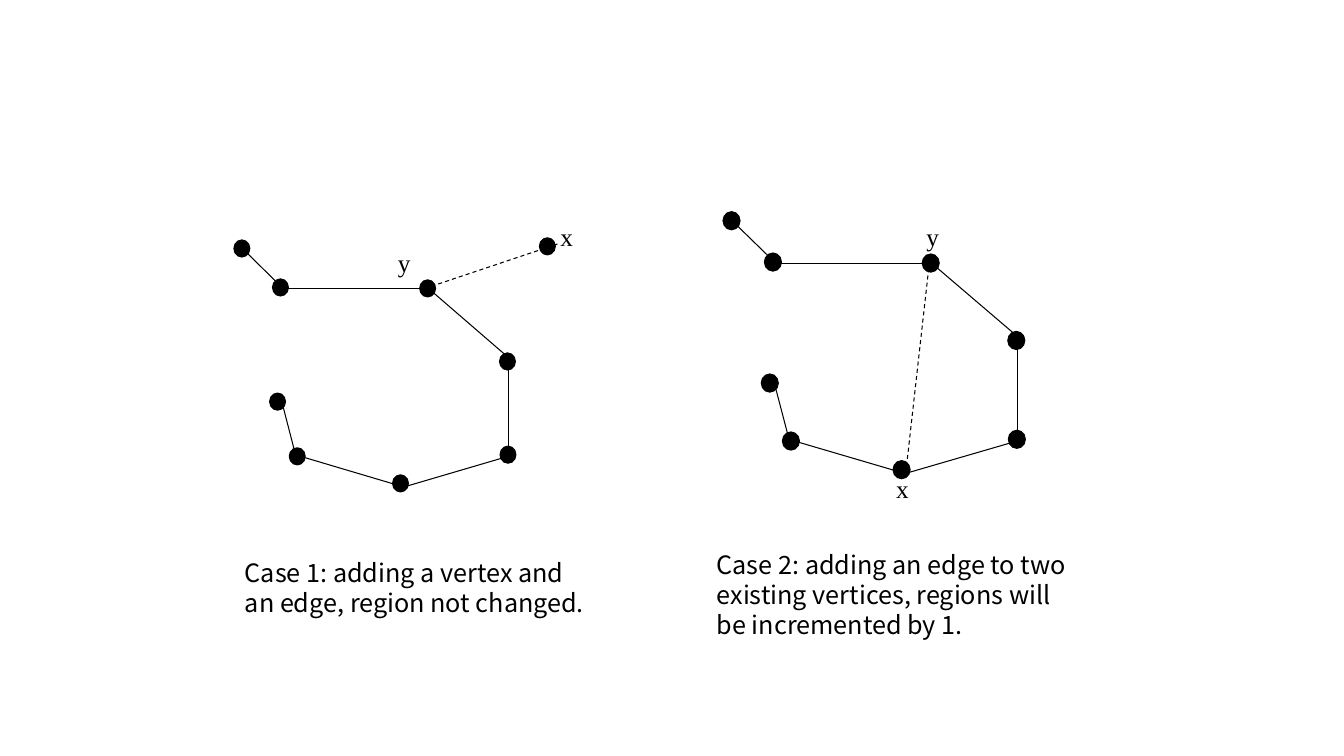
from dataclasses import dataclass

from lxml.etree import SubElement
from pptx import Presentation
from pptx.dml.color import RGBColor
from pptx.enum.dml import MSO_LINE_DASH_STYLE as Dash
from pptx.enum.shapes import MSO_CONNECTOR as Connector, MSO_SHAPE as Shape
from pptx.enum.text import MSO_AUTO_SIZE as AutoSize
from pptx.oxml.ns import qn
from pptx.util import Inches, Pt

SLIDE_WIDTH, SLIDE_HEIGHT = Inches(13.33), Inches(7.5)


@dataclass(frozen=True)
class Theme:
    ink: RGBColor = RGBColor(0, 0, 0)
    label_font: str = "Times New Roman"
    caption_font: str = "Noto Sans CJK SC"
    text_size: Pt = Pt(18)
    line_width: Pt = Pt(0.75)


THEME = Theme()


@dataclass(frozen=True)
class Frame:
    """Area in percent of the slide; a graph runs from 0 to 100 inside it."""
    left: float
    top: float
    width: float
    height: float

    def point(self, across, down):
        return (round(SLIDE_WIDTH * (self.left + self.width * across / 100) / 100),
                round(SLIDE_HEIGHT * (self.top + self.height * down / 100) / 100))

    def size(self, across=100, down=100):
        return (round(SLIDE_WIDTH * self.width * across / 10000),
                round(SLIDE_HEIGHT * self.height * down / 10000))


DOT_SIZE = (6, 7.3)
LABEL_SIZE = (28, 22)

VERTICES = [(0, 0), (14.5, 16.6), (69.8, 17), (99.8, 48.1),
            (100, 87.8), (59.6, 100), (20.8, 88.5), (13.4, 65.2)]

EDGES = [((1.2, 1.1), (14.7, 16.2)),
         ((16.4, 17), (69.4, 17)),
         ((70.5, 17.4), (99.4, 45.7)),
         ((100.2, 47.3), (100.2, 88.6)),
         ((101.2, 88.1), (59.5, 102)),
         ((59.5, 101.1), (20.9, 88.1)),
         ((20.2, 88), (14.7, 63.9))]


def style_line(line):
    line.color.rgb = THEME.ink
    line.width = THEME.line_width


def add_edge(group, frame, start, end, dashed=False):
    edge = group.shapes.add_connector(
        Connector.STRAIGHT, *frame.point(*start), *frame.point(*end))
    style_line(edge.line)
    if dashed:
        edge.line.dash_style = Dash.DASH
    SubElement(edge._element.spPr, qn("a:effectLst"))


def add_vertex(group, frame, centre):
    corner = [middle - extent / 2 for middle, extent in zip(centre, DOT_SIZE)]
    dot = group.shapes.add_shape(
        Shape.OVAL, *frame.point(*corner), *frame.size(*DOT_SIZE))
    dot.shadow.inherit = False
    dot.fill.solid()
    dot.fill.fore_color.rgb = THEME.ink
    style_line(dot.line)


def add_text(parent, position, size, text, font_name):
    box = parent.shapes.add_textbox(*position, *size)
    frame = box.text_frame
    frame.word_wrap = True
    frame.auto_size = AutoSize.SHAPE_TO_FIT_TEXT
    frame.text = text
    font = frame.paragraphs[0].runs[0].font
    font.name = font_name
    font.size = THEME.text_size
    font.color.rgb = THEME.ink


def add_graph(page, frame, new_edge, labels, new_vertices=()):
    group = page.shapes.add_group_shape()
    for start, end in EDGES:
        add_edge(group, frame, start, end)
    add_edge(group, frame, *new_edge, dashed=True)
    for name, corner in labels.items():
        add_text(group, frame.point(*corner), frame.size(*LABEL_SIZE),
                 name, THEME.label_font)
    for centre in [*VERTICES, *new_vertices]:
        add_vertex(group, frame, centre)


def add_caption(page, frame, text):
    add_text(page, frame.point(0, 0), frame.size(), text, THEME.caption_font)


def main():
    deck = Presentation()
    deck.slide_width, deck.slide_height = SLIDE_WIDTH, SLIDE_HEIGHT
    page = deck.slides.add_slide(deck.slide_layouts[6])

    add_graph(page, Frame(54.43, 29.2, 21.23, 32.93),
              new_edge=((69.4, 16.2), (61, 102)),
              labels={"y": (64.8, -1.6), "x": (54.2, 99.6)})
    add_graph(page, Frame(18, 32.87, 19.8, 31.07),
              new_edge=((71.2, 16.1), (118.6, -1.9)),
              labels={"y": (54.9, -2.8), "x": (115.9, -13.5)},
              new_vertices=[(114.8, -0.9)])

    add_caption(page, Frame(17.48, 73.07, 27.6, 9.47),
                "Case 1: adding a vertex and an edge, region not changed.")
    add_caption(page, Frame(52.59, 72, 27.6, 13.47),
                "Case 2: adding an edge to two existing vertices, "
                "regions will be incremented by 1.")
    deck.save("out.pptx")


if __name__ == "__main__":
    main()
